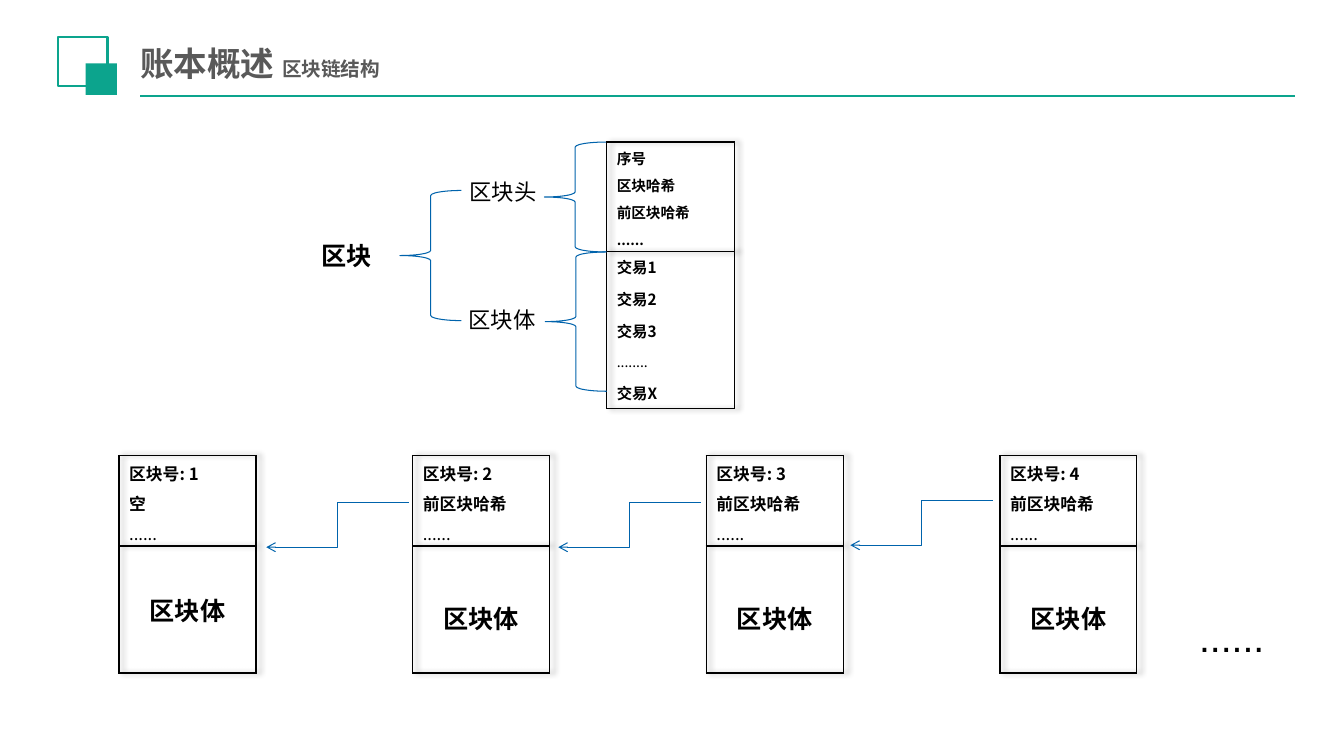
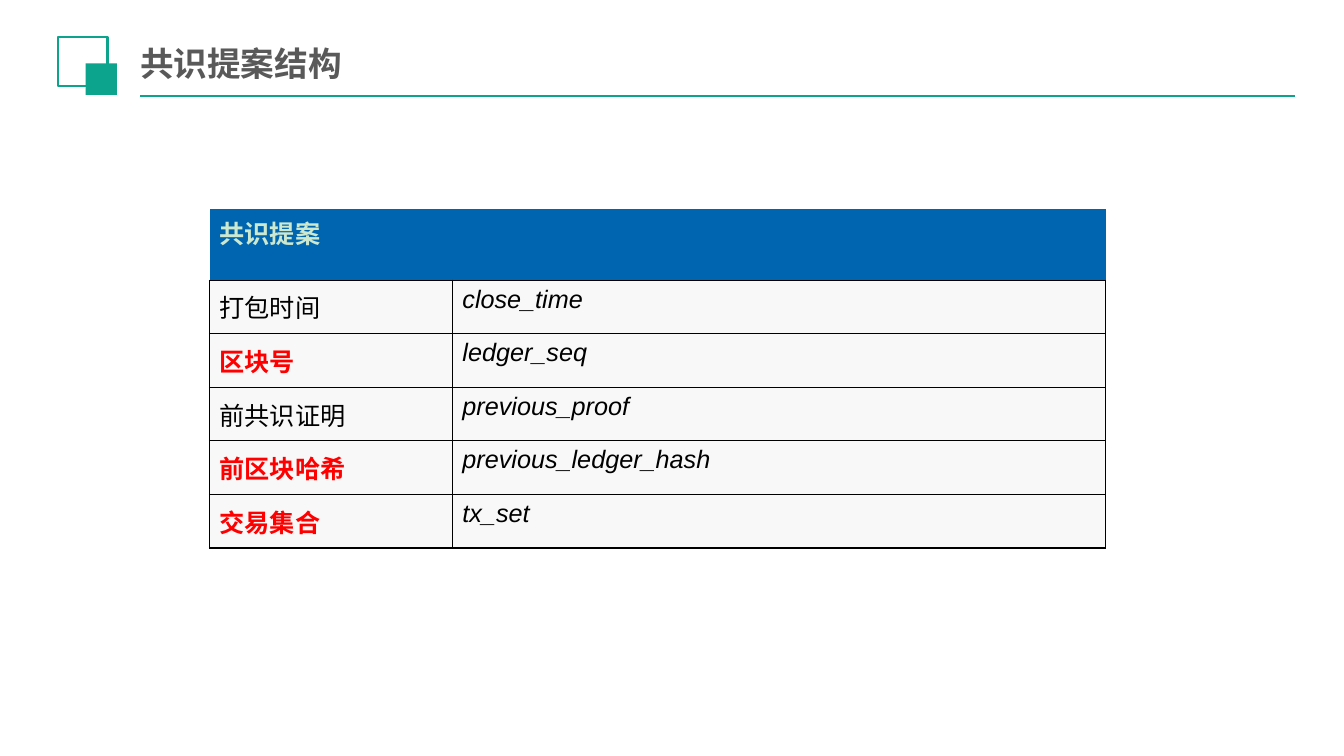
from lxml.etree import SubElement
from pptx import Presentation
from pptx.dml.color import RGBColor
from pptx.enum.shapes import MSO_CONNECTOR, MSO_SHAPE
from pptx.enum.text import MSO_ANCHOR, PP_ALIGN
from pptx.oxml import parse_xml
from pptx.oxml.ns import nsdecls, qn
from pptx.util import Cm, Pt

COLORS = {
    "background": "FFFFFF",
    "accent": "0CA48D",
    "title": "595959",
    "text": "000000",
    "highlight": "FF0000",
    "line": "0063AC",
    "header": "0065B0",
    "header_text": "CCE8CF",
    "cell": "F8F8F8",
}
CJK = "Noto Sans CJK SC"
LATIN = "Arial"
NO_STYLE = "{2D5ABB26-0587-4C30-8999-92F81FD0307C}"
TABLE_SHADOW = (
    f'<a:effectLst {nsdecls("a")}><a:outerShdw blurRad="50800" dist="38100" algn="l">'
    '<a:srgbClr val="000000"><a:alpha val="40000"/></a:srgbClr></a:outerShdw></a:effectLst>'
)


def rgb(name):
    return RGBColor.from_string(COLORS[name])


class Deck:
    """Holds the shared style and the slide being built; lengths are in cm."""

    def __init__(self):
        self.prs = Presentation()
        self.prs.slide_width, self.prs.slide_height = Cm(33.87), Cm(19.05)
        self.s = None

    def slide(self, *title_runs):
        """Start a slide with the corner squares, the rule and the title."""
        self.s = self.prs.slides.add_slide(self.prs.slide_layouts[6])
        self.s.background.fill.solid()
        self.s.background.fill.fore_color.rgb = rgb("background")
        self.line(3.53, 2.41, 32.64, 2.41, "accent", 1.25)
        self.shape(MSO_SHAPE.RECTANGLE, 1.47, 0.93, 1.24, 1.24, "background", "accent", 1.5)
        self.shape(MSO_SHAPE.RECTANGLE, 2.16, 1.6, 0.79, 0.79, "accent")
        tf = self.text_frame(3.35, 0.99, 21.84, 1.22)
        tf.word_wrap = True
        tf.vertical_anchor = MSO_ANCHOR.MIDDLE
        tf.margin_left = tf.margin_right = Cm(0.18)
        tf.margin_top = tf.margin_bottom = Cm(0.1)
        for text, size in title_runs:
            self.run(tf.paragraphs[0], text, size, "title", CJK, bold=True)

    def run(self, p, text, size, color="text", font=LATIN, bold=False, italic=False):
        r = p.add_run()
        r.text = text
        r.font.size, r.font.bold, r.font.italic = Pt(size), bold, italic
        r.font.color.rgb = rgb(color)
        r.font.name = font
        SubElement(r.font._element, qn("a:ea")).set("typeface", CJK)

    def text_frame(self, x, y, w, h):
        return self.s.shapes.add_textbox(Cm(x), Cm(y), Cm(w), Cm(h)).text_frame

    def label(self, x, y, w, h, text, size, bold=False):
        tf = self.text_frame(x, y, w, h)
        tf.word_wrap = False
        self.run(tf.paragraphs[0], text, size, bold=bold)

    def shape(self, kind, x, y, w, h, fill=None, line=None, width=0.75):
        sp = self.s.shapes.add_shape(kind, Cm(x), Cm(y), Cm(w), Cm(h))
        sp.shadow.inherit = False
        if fill:
            sp.fill.solid()
            sp.fill.fore_color.rgb = rgb(fill)
        else:
            sp.fill.background()
        if line:
            sp.line.color.rgb = rgb(line)
            sp.line.width = Pt(width)
        else:
            sp.line.fill.background()

    def brace(self, x, y, h):
        self.shape(MSO_SHAPE.LEFT_BRACE, x, y, 1.55, h, line="line")

    def line(self, x1, y1, x2, y2, color, width, kind=MSO_CONNECTOR.STRAIGHT):
        c = self.s.shapes.add_connector(kind, Cm(x1), Cm(y1), Cm(x2), Cm(y2))
        c.line.color.rgb = rgb(color)
        c.line.width = Pt(width)
        SubElement(c._element.spPr, qn("a:effectLst"))
        return c

    def back_link(self, x1, y1, x2, y2):
        """Elbow connector with the arrowhead at its start."""
        c = self.line(x1, y1, x2, y2, "line", 0.75, MSO_CONNECTOR.ELBOW)
        SubElement(c.line._get_or_add_ln(), qn("a:headEnd")).set("type", "arrow")

    def table(self, x, y, widths, heights, shadow=False):
        frame = self.s.shapes.add_table(
            len(heights), len(widths), Cm(x), Cm(y), Cm(sum(widths)), Cm(sum(heights)))
        table = frame.table
        table.first_row = table.horz_banding = False
        props = table._tbl.tblPr
        props.find(qn("a:tableStyleId")).text = NO_STYLE
        if shadow:
            props.insert(0, parse_xml(TABLE_SHADOW))
        for column, width in zip(table.columns, widths):
            column.width = Cm(width)
        for row, height in zip(table.rows, heights):
            row.height = Cm(height)
        return table

    def cell(self, cell, text, size, sides="LRTB", fill=None, middle=False, **style):
        """Fill one cell; sides names the edges that get a black border."""
        tc_pr = cell._tc.get_or_add_tcPr()
        for side in "LRTB":
            if side in sides:
                ln = SubElement(tc_pr, qn(f"a:ln{side}"), w=str(Pt(1)))
                paint = SubElement(ln, qn("a:solidFill"))
                SubElement(paint, qn("a:srgbClr"), val=COLORS["text"])
            else:
                ln = SubElement(tc_pr, qn(f"a:ln{side}"), w="0")
                SubElement(ln, qn("a:noFill"))
        if fill:
            cell.fill.solid()
            cell.fill.fore_color.rgb = rgb(fill)
        else:
            cell.fill.background()
        if middle:
            cell.vertical_anchor = MSO_ANCHOR.MIDDLE
        if text:
            self.run(cell.text_frame.paragraphs[0], text, size, **style)

    def list_table(self, x, y, width, heights, rows, top=True, tight=True):
        """One-column framed list without inner rules; rows are (text, size, bold)."""
        table = self.table(x, y, [width], heights, shadow=True)
        for i, (text, size, bold) in enumerate(rows):
            sides = "LR" + "T" * (top and i == 0) + "B" * (i == len(rows) - 1)
            cell = table.cell(i, 0)
            self.cell(cell, text, size, sides, font=CJK, bold=bold)
            if tight:
                cell.margin_bottom = 0
        return table

    def block(self, x, y, number, previous, drop):
        """Block of the chain; drop lowers the body caption below the middle."""
        rows = [(f"区块号: {number}", 12, True), (previous, 12, True), ("......", 12, False)]
        table = self.list_table(x, y, 3.45, [0.76] * 3 + [3.2], rows)
        body = table.cell(3, 0)
        self.cell(body, "区块体", 18, middle=True, font=CJK, bold=True)
        body.margin_top = Cm(0.13 + 2 * drop)
        body.text_frame.paragraphs[0].alignment = PP_ALIGN.CENTER


def chain_slide(d):
    d.slide(("账本概述 ", 24), ("区块链结构", 14))

    transactions = [("交易1", 11, True), ("交易2", 11, True), ("交易3", 11, True),
                    ("........", 10, False), ("交易X", 11, True)]
    d.list_table(15.29, 6.3, 3.23, [0.81, 0.81, 0.81, 0.76, 0.81], transactions,
                 top=False, tight=False)
    header = [("序号", 10.5, True), ("区块哈希", 10.5, True),
              ("前区块哈希", 10.5, True), ("......", 10, True)]
    d.list_table(15.29, 3.58, 3.23, [0.69] * 4, header)

    d.label(7.85, 5.92, 1.8, 1.02, "区块", 18, bold=True)
    d.label(11.58, 4.37, 2.24, 0.94, "区块头", 16)
    d.label(11.56, 7.59, 2.24, 0.94, "区块体", 16)
    d.brace(13.72, 3.58, 2.77)
    d.brace(13.74, 6.35, 3.51)
    d.brace(10.08, 4.8, 3.28)

    for i in range(4):
        d.block(3 + 7.4 * i, 11.48, i + 1, "前区块哈希" if i else "空", 0.2 if i else 0)
    d.label(29.97, 15.32, 2.16, 1.45, "......", 28)
    for i, y in enumerate((13.79, 13.79, 13.74)):
        x = 6.71 + 7.36 * i
        d.back_link(x, y, x + 3.59, y - 1.12)


def proposal_slide(d):
    d.slide(("共识提案结构", 24))
    fields = [("打包时间", "close_time", False), ("区块号", "ledger_seq", True),
              ("前共识证明", "previous_proof", False),
              ("前区块哈希", "previous_ledger_hash", True), ("交易集合", "tx_set", True)]
    table = d.table(5.28, 5.26, [6.12, 16.46], [1.8] + [1.35] * len(fields))
    table.cell(0, 0).merge(table.cell(0, 1))
    for column, text in enumerate(("共识提案", "")):
        d.cell(table.cell(0, column), text, 18, "B", "header", color="header_text", bold=True)
    for row, (name, field, key) in enumerate(fields, 1):
        d.cell(table.cell(row, 0), name, 18, fill="cell", middle=True,
               color="highlight" if key else "text", bold=key)
        d.cell(table.cell(row, 1), field, 18, fill="cell", italic=True)


def main():
    d = Deck()
    chain_slide(d)
    proposal_slide(d)
    d.prs.save("out.pptx")


if __name__ == "__main__":
    main()
